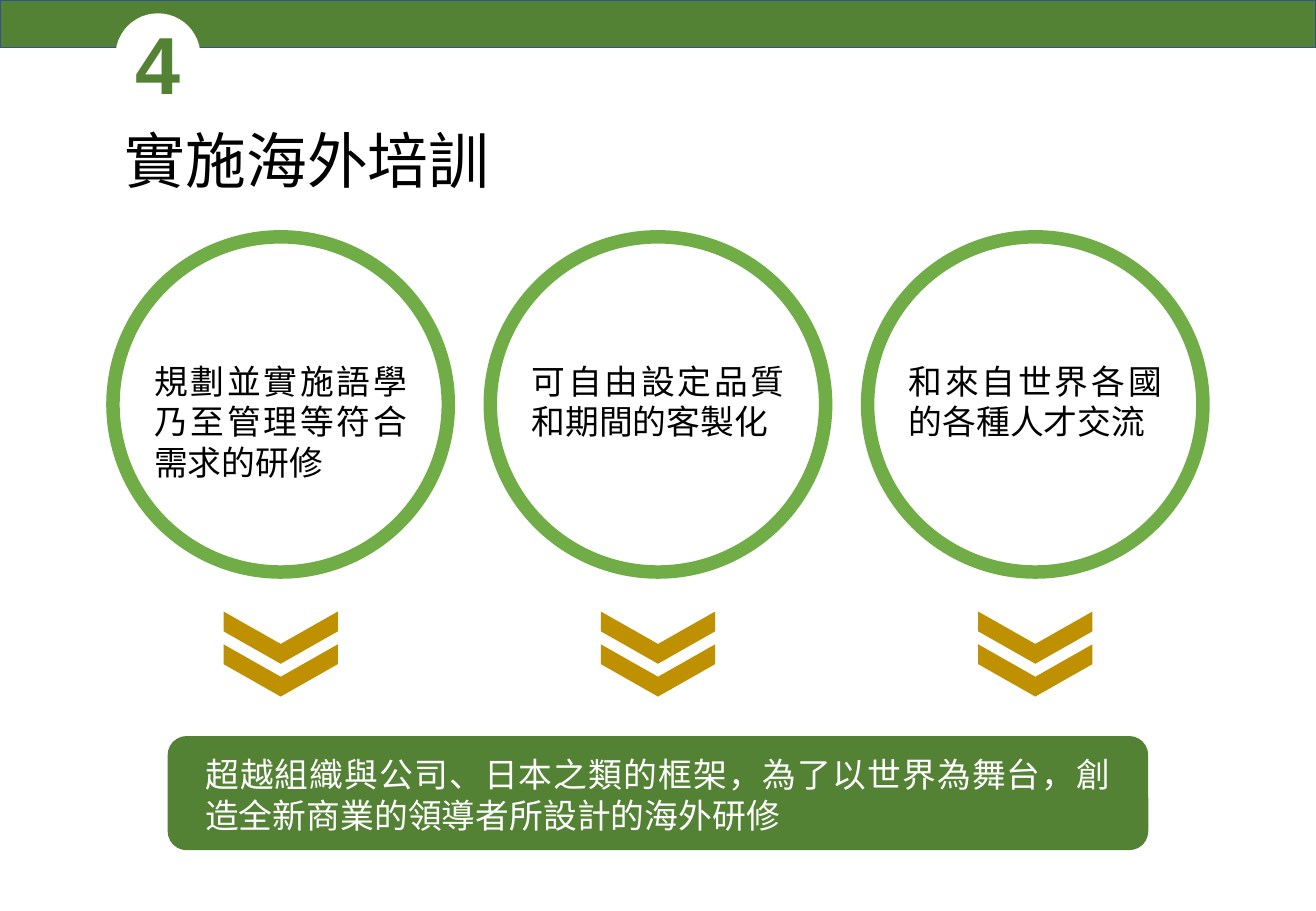
from dataclasses import dataclass

from lxml.etree import SubElement
from pptx import Presentation
from pptx.dml.color import RGBColor
from pptx.enum.shapes import MSO_SHAPE
from pptx.enum.text import MSO_AUTO_SIZE, PP_ALIGN
from pptx.oxml.ns import qn
from pptx.util import Inches, Pt

NUMBER = "4"
TITLE = "實施海外培訓"
FEATURES = [
    "規劃並實施語學乃至管理等符合需求的研修",
    "可自由設定品質和期間的客製化",
    "和來自世界各國的各種人才交流",
]
CONCLUSION = "超越組織與公司、日本之類的框架，為了以世界為舞台，創造全新商業的領導者所設計的海外研修"


@dataclass(frozen=True)
class Theme:
    dark_green: str = "548235"
    green: str = "70AD47"
    gold: str = "BF9000"
    blue: str = "325491"
    black: str = "000000"
    white: str = "FFFFFF"
    body_font: str = "Noto Sans CJK SC"
    number_font: str = "Arial"
    number_size: int = 48
    title_size: int = 36
    body_size: int = 20


THEME = Theme()
SLIDE_WIDTH, SLIDE_HEIGHT = 10.83, 7.5
MARGIN = 0.93
RING = 2.76
RING_TOP = 1.95
RING_PITCH = (SLIDE_WIDTH - 2 * MARGIN - RING) / (len(FEATURES) - 1)
FEATURE_INSET = 0.24
FEATURE_TOP = 2.92
FEATURE_HEIGHTS = [1.11, 0.77, 0.77]
CHEVRON_WIDTH, CHEVRON_HEIGHT = 0.43, 0.94
CHEVRON_TOPS = [5.05, 4.78]

deck = Presentation()
deck.slide_width, deck.slide_height = Inches(SLIDE_WIDTH), Inches(SLIDE_HEIGHT)
slide = deck.slides.add_slide(deck.slide_layouts[6])


def add_figure(kind, box, fill=None, line=None, line_width=1):
    figure = slide.shapes.add_shape(kind, *map(Inches, box))
    figure.shadow.inherit = False
    if fill:
        figure.fill.solid()
        figure.fill.fore_color.rgb = RGBColor.from_string(fill)
    else:
        figure.fill.background()
    if line:
        figure.line.color.rgb = RGBColor.from_string(line)
        figure.line.width = Pt(line_width)
    else:
        figure.line.fill.background()
    return figure


def add_text(text, box, size, color, font=THEME.body_font,
             align=PP_ALIGN.JUSTIFY, bold=False, space_after=6):
    frame = slide.shapes.add_textbox(*map(Inches, box)).text_frame
    frame.word_wrap = True
    frame.auto_size = MSO_AUTO_SIZE.SHAPE_TO_FIT_TEXT
    paragraph = frame.paragraphs[0]
    paragraph.text = text
    paragraph.alignment = align
    paragraph.space_after = Pt(space_after)
    paragraph.font.size = Pt(size)
    paragraph.font.bold = bold
    paragraph.font.color.rgb = RGBColor.from_string(color)
    paragraph.font.name = font
    defaults = paragraph._p.pPr.find(qn("a:defRPr"))
    SubElement(defaults, qn("a:ea"), typeface=font)


add_figure(MSO_SHAPE.RECTANGLE, (0, 0, SLIDE_WIDTH, 0.39), THEME.dark_green, THEME.blue)
add_figure(MSO_SHAPE.OVAL, (0.95, 0.11, 0.7, 0.7), THEME.white)
add_text(NUMBER, (MARGIN, 0.06, 0.74, 0.91), THEME.number_size, THEME.dark_green,
         THEME.number_font, PP_ALIGN.CENTER, bold=True)
add_text(TITLE, (MARGIN, 0.96, 6.36, 0.71), THEME.title_size, THEME.black)

for column, (feature, height) in enumerate(zip(FEATURES, FEATURE_HEIGHTS)):
    left = MARGIN + column * RING_PITCH
    add_figure(MSO_SHAPE.OVAL, (left, RING_TOP, RING, RING), line=THEME.green, line_width=8)
    add_text(feature, (left + FEATURE_INSET, FEATURE_TOP, RING - 2 * FEATURE_INSET, height),
             THEME.body_size, THEME.black, space_after=0)
    chevron_left = left + (RING - CHEVRON_WIDTH) / 2
    for top in CHEVRON_TOPS:
        chevron = add_figure(MSO_SHAPE.CHEVRON,
                             (chevron_left, top, CHEVRON_WIDTH, CHEVRON_HEIGHT), THEME.gold)
        chevron.adjustments[0] = 0.62
        chevron.rotation = 90

add_figure(MSO_SHAPE.ROUNDED_RECTANGLE, (1.38, 6.06, 8.07, 0.94), THEME.dark_green)
add_text(CONCLUSION, (1.59, 6.16, 7.65, 0.77), THEME.body_size, THEME.white)

deck.save("out.pptx")
